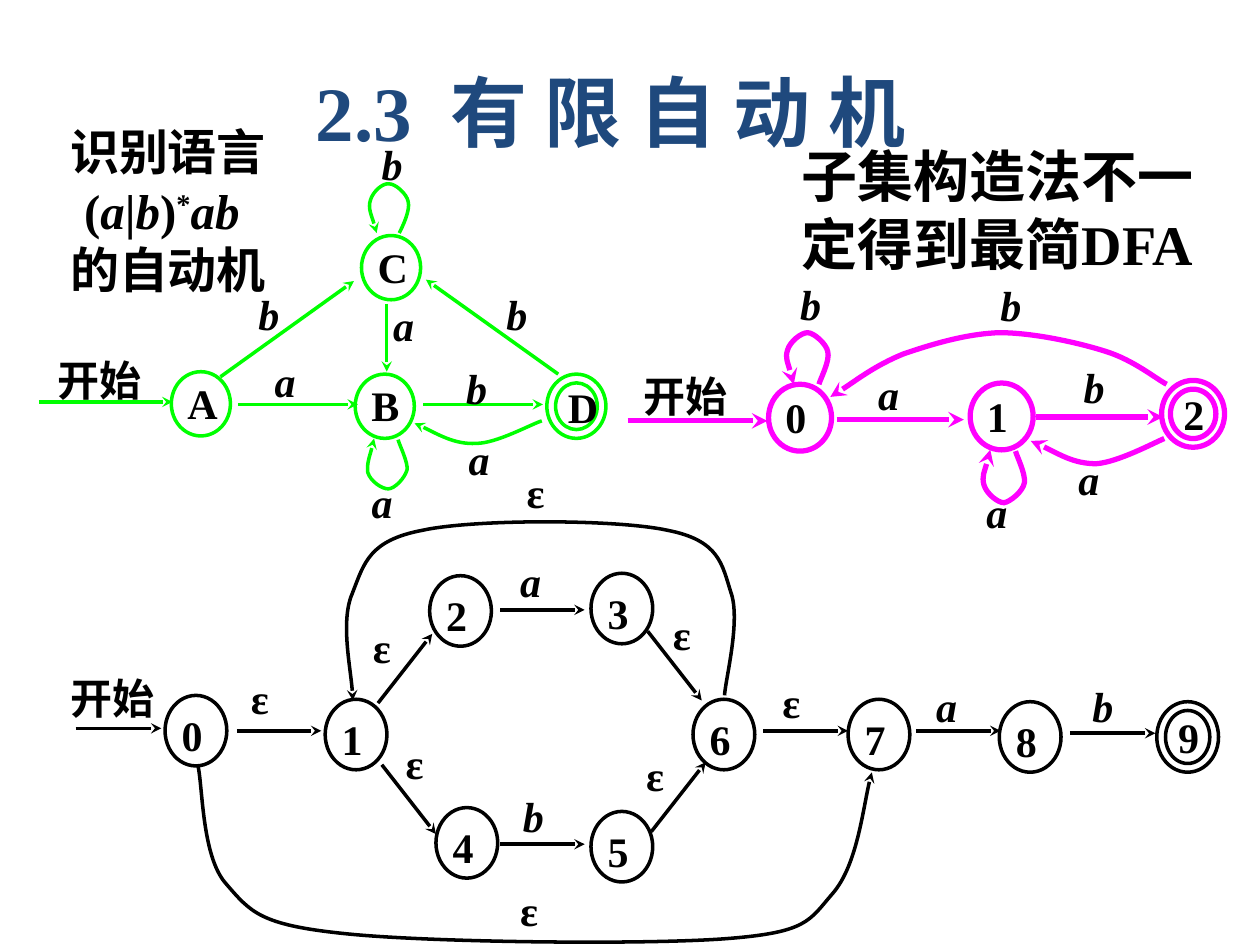
from dataclasses import dataclass

from lxml.etree import SubElement
from pptx import Presentation
from pptx.dml.color import RGBColor
from pptx.enum.shapes import MSO_CONNECTOR as Connector, MSO_SHAPE as Shape
from pptx.enum.text import MSO_ANCHOR as Anchor, PP_ALIGN as Align
from pptx.oxml.ns import qn
from pptx.util import Pt


@dataclass(frozen=True)
class Theme:
    latin: str = "Times New Roman"
    asian: str = "Noto Sans CJK SC"
    text: str = "000000"
    title: str = "1F497D"
    nfa: str = "000000"
    dfa: str = "00FF00"
    minimal: str = "FF00FF"
    title_size: int = 44
    remark_size: int = 32
    language_size: int = 28
    label_size: int = 24


THEME = Theme()
LABEL_INSETS = (4.3, 2.2, 4.3, 2.2)
STATE_INSETS = (4.3, 2.2, 1.4, 3.6)
FINAL_INSETS = (3.6, 0, 0.7, 0)
RING_GAP = 5


class SlideBuilder:
    def __init__(self, slide, theme):
        self.slide = slide
        self.theme = theme
        self.shapes = slide.shapes

    def start_automaton(self, color, width, state_size, anchor):
        self.shapes = self.slide.shapes.add_group_shape().shapes
        self.color, self.width = color, width
        self.state_size, self.anchor = state_size, anchor

    def end_automaton(self):
        self.shapes = self.slide.shapes

    def frame(self, shape, insets, anchor, wrap=True):
        frame = shape.text_frame
        frame.word_wrap = wrap
        frame.vertical_anchor = anchor
        frame.margin_left, frame.margin_top, frame.margin_right, frame.margin_bottom = map(Pt, insets)
        return frame

    def run(self, paragraph, text, size, color=None, italic=False, superscript=False):
        run = paragraph.add_run()
        run.text = text
        font = run.font
        font.name, font.size = self.theme.latin, Pt(size)
        font.bold, font.italic = True, italic
        font.color.rgb = RGBColor.from_string(color or self.theme.text)
        properties = run._r.get_or_add_rPr()
        if not text.isascii():
            SubElement(properties, qn("a:ea")).set("typeface", self.theme.asian)
        if superscript:
            properties.set("baseline", "30000")

    def title(self, text, left, top, width, height):
        shape = self.slide.shapes.title
        shape.left, shape.top, shape.width, shape.height = map(Pt, (left, top, width, height))
        shape.text_frame.vertical_anchor = Anchor.MIDDLE
        paragraph = shape.text_frame.paragraphs[0]
        paragraph.alignment = Align.CENTER
        self.run(paragraph, text, self.theme.title_size, self.theme.title)

    def text_box(self, lines, box, size, align, anchor=Anchor.MIDDLE, wrap=True):
        shape = self.shapes.add_textbox(*map(Pt, box))
        frame = self.frame(shape, LABEL_INSETS, anchor, wrap)
        for index, line in enumerate(lines):
            paragraph = frame.add_paragraph() if index else frame.paragraphs[0]
            paragraph.alignment = align
            for text, style in line:
                self.run(paragraph, text, size, **style)

    def label(self, text, left, top):
        width, height = (59, 36) if len(text) > 1 else (30, 32)
        style = {"italic": text in ("a", "b")}
        self.text_box([[(text, style)]], (left, top, width, height),
                      self.theme.label_size, Align.JUSTIFY, Anchor.TOP)

    def style_line(self, shape, arrow):
        shape.line.color.rgb = RGBColor.from_string(self.color)
        shape.line.width = Pt(self.width)
        if arrow:
            SubElement(shape.line._get_or_add_ln(), qn("a:tailEnd")).set("type", "stealth")

    def circle(self, left, top, width, height):
        shape = self.shapes.add_shape(Shape.OVAL, *map(Pt, (left, top, width, height)))
        shape.shadow.inherit = False
        shape.fill.background()
        self.style_line(shape, False)
        return shape

    def state(self, name, left, top, final=False):
        width, height = self.state_size
        shape = self.circle(left, top, width, height)
        insets, anchor, align = STATE_INSETS, self.anchor, Align.LEFT
        if final:
            shape = self.circle(left + RING_GAP, top + RING_GAP,
                                width - 2 * RING_GAP, height - 2 * RING_GAP)
            insets, anchor, align = FINAL_INSETS, Anchor.MIDDLE, Align.JUSTIFY
        paragraph = self.frame(shape, insets, anchor).paragraphs[0]
        paragraph.alignment = align
        self.run(paragraph, name, self.theme.label_size)

    def arrow(self, *ends):
        shape = self.shapes.add_connector(Connector.STRAIGHT, *map(Pt, ends))
        self.style_line(shape, True)
        SubElement(shape._element.spPr, qn("a:effectLst"))

    def curve(self, *points):
        start, *controls = [tuple(map(Pt, point)) for point in points]
        builder = self.shapes.build_freeform(*start)
        builder.add_line_segments(controls, close=False)
        shape = builder.convert_to_shape()
        outline = next(shape._element.iter(qn("a:path")))
        segments = outline.findall(qn("a:lnTo"))
        for index in range(0, len(segments), 3):
            cubic = SubElement(outline, qn("a:cubicBezTo"))
            for segment in segments[index:index + 3]:
                cubic.append(segment[0])
                outline.remove(segment)
        shape.shadow.inherit = False
        shape.fill.background()
        self.style_line(shape, True)

    def automaton(self, color, width, state_size, anchor, states, arrows, curves, labels):
        self.start_automaton(color, width, state_size, anchor)
        for method, items in ((self.state, states), (self.arrow, arrows),
                              (self.curve, curves), (self.label, labels)):
            for item in items:
                method(*item)
        self.end_automaton()


NFA = dict(
    color=THEME.nfa, width=2, state_size=(35.3, 40.3), anchor=Anchor.TOP,
    states=[("0", 94.3, 397.4), ("1", 185.8, 399.6), ("2", 245.5, 329), ("3", 337.7, 327.6),
            ("4", 249.1, 461.5), ("5", 337.7, 463.7), ("6", 396, 399.6), ("7", 484.6, 399.6),
            ("8", 571, 401), ("9", 661, 401, True)],
    arrows=[(43.2, 416.2, 92.2, 416.2), (135.4, 417.6, 183.6, 417.6), (436.3, 417.6, 484.6, 417.6),
            (523.4, 417.6, 571.7, 417.6), (611.3, 419, 660.2, 419), (285.8, 348.5, 334.1, 348.5),
            (285.8, 482.4, 334.1, 482.4), (216, 401.8, 247, 362.2), (370.1, 360.7, 401, 400.3),
            (372.2, 475.2, 403.2, 435.6), (218.2, 437, 249.1, 476.6)],
    curves=[((113, 437), (115.9, 448.6), (115.2, 488.9), (128.9, 504.7), (143.3, 521.3),
             (148.3, 528.5), (196.6, 533.5), (244.1, 538.6), (368.6, 540), (415.4, 536.4),
             (461.5, 532.8), (462.2, 526.3), (475.9, 510.5), (489.6, 494.6), (493.9, 455.8), (498.2, 441.4)),
            ((414, 397.4), (414.7, 387.4), (423.4, 354.2), (417.6, 338.4), (412.6, 322.6),
             (411.1, 308.9), (381.6, 303.1), (352.1, 296.6), (270.7, 296.6), (241.2, 303.1),
             (211, 308.9), (208.1, 321.8), (201.6, 338.4), (194.4, 354.2), (201.6, 387.4), (201.6, 400.3))],
    labels=[("开始", 36, 382.3), ("ε", 139, 382.3), ("a", 293, 315.4), ("b", 294.5, 449.3),
            ("ε", 208.8, 352.8), ("a", 530.6, 386.6), ("b", 619.9, 386.6), ("ε", 227.5, 419),
            ("ε", 380.2, 345.6), ("ε", 365, 426.2), ("ε", 293, 503.3), ("ε", 296.6, 264.2),
            ("ε", 442.8, 384.5)])

DFA = dict(
    color=THEME.dfa, width=2, state_size=(33.8, 36.7), anchor=Anchor.MIDDLE,
    states=[("A", 97.9, 212.4), ("B", 203, 213.8), ("C", 206.6, 134.6), ("D", 312.5, 213.8, True)],
    arrows=[(22.3, 229.7, 98.6, 229.7), (136.1, 231.1, 204.5, 231.1), (241.9, 231.1, 310.3, 231.1),
            (126, 215.3, 202.3, 160.6), (221, 173.5, 221, 212.4), (319, 213.8, 243.4, 159.8)],
    curves=[((228.2, 133.2), (229.7, 130.3), (234.7, 120.2), (233.3, 115.2), (232.6, 110.9),
             (226.1, 105.1), (222.5, 105.1), (218.9, 104.4), (213.1, 109.4), (211.7, 114.5),
             (210.2, 118.8), (214.6, 129.6), (215.3, 133.2)),
            ((227.5, 251.3), (228.2, 254.2), (233.3, 264.2), (232.6, 268.6), (231.1, 273.6),
             (225.4, 279.4), (221.8, 279.4), (218.2, 279.4), (211.7, 275), (210.2, 270),
             (209.5, 265), (213.1, 254.9), (213.8, 250.6)),
            ((309.6, 240.5), (303.1, 242.6), (283.7, 253.4), (272.2, 253.4),
             (259.9, 254.2), (244.1, 244.8), (236.9, 241.9))],
    labels=[("开始", 28.8, 200.2), ("a", 152.6, 200.9), ("a", 208.1, 270), ("b", 262.1, 205.2),
            ("b", 143.3, 162.7), ("a", 263.5, 245.5), ("b", 213.8, 77), ("b", 285.1, 162.7),
            ("a", 220.3, 169.2)])

MINIMAL_DFA = dict(
    color=THEME.minimal, width=3, state_size=(36, 38.2), anchor=Anchor.MIDDLE,
    states=[("0", 439.2, 219.6), ("1", 554.4, 218.9), ("2", 663.8, 217.4, True)],
    arrows=[(358.6, 240.5, 438.5, 240.5), (478.1, 239.8, 550.8, 239.8), (591.8, 238.3, 664.6, 238.3)],
    curves=[((468, 219.6), (468.7, 216.7), (474.5, 205.9), (473, 200.9), (472.3, 196.6),
             (465.1, 190.1), (461.5, 190.1), (457.9, 190.1), (451.4, 195.1), (450, 200.2),
             (448.6, 204.5), (452.9, 216), (453.6, 219.6)),
            ((580.3, 257.8), (581, 260.6), (586.1, 270.7), (585.4, 275.8), (584.6, 280.8),
             (577.4, 286.6), (573.8, 287.3), (570.2, 287.3), (563.8, 282.2), (562.3, 277.2),
             (560.9, 272.2), (565.2, 261.4), (565.9, 257)),
            ((665.3, 250.6), (658.8, 253.4), (638.6, 264.2), (626.4, 265),
             (613.4, 265), (596.9, 254.9), (589, 252)),
            ((666.7, 219.6), (661, 216.7), (648, 205.9), (632.2, 200.9), (616.3, 195.8),
             (590.4, 190.1), (571, 190.1), (552.2, 190.8), (532.8, 196.6), (516.2, 202.3),
             (500.4, 208.8), (483.1, 221.8), (474.5, 226.8))],
    labels=[("开始", 363.6, 209.5), ("a", 497.5, 208.1), ("a", 559.4, 275.8), ("b", 614.9, 204.5),
            ("b", 452.9, 157), ("a", 612, 257), ("b", 567.4, 157.7)])


def main():
    presentation = Presentation()
    presentation.slide_width, presentation.slide_height = Pt(720), Pt(540)
    builder = SlideBuilder(presentation.slides.add_slide(presentation.slide_layouts[5]), THEME)
    builder.title("2.3  有 限 自 动 机 ", 48, 18, 612, 90)
    for automaton in (NFA, DFA, MINIMAL_DFA):
        builder.automaton(**automaton)
    plain, italic = {}, {"italic": True}
    language = [("(", plain), ("a", italic), ("|", plain), ("b", italic), (")", plain),
                ("*", {"superscript": True}), ("ab ", italic)]
    builder.text_box([[("识别语言", plain)], language, [("的自动机", plain)]],
                     (24, 54, 144, 132), THEME.language_size, Align.CENTER, wrap=False)
    builder.text_box([[("子集构造法不一定得到最简DFA", plain)]],
                     (453.6, 74.2, 244, 90.7), THEME.remark_size, Align.LEFT)
    presentation.save("out.pptx")


if __name__ == "__main__":
    main()
